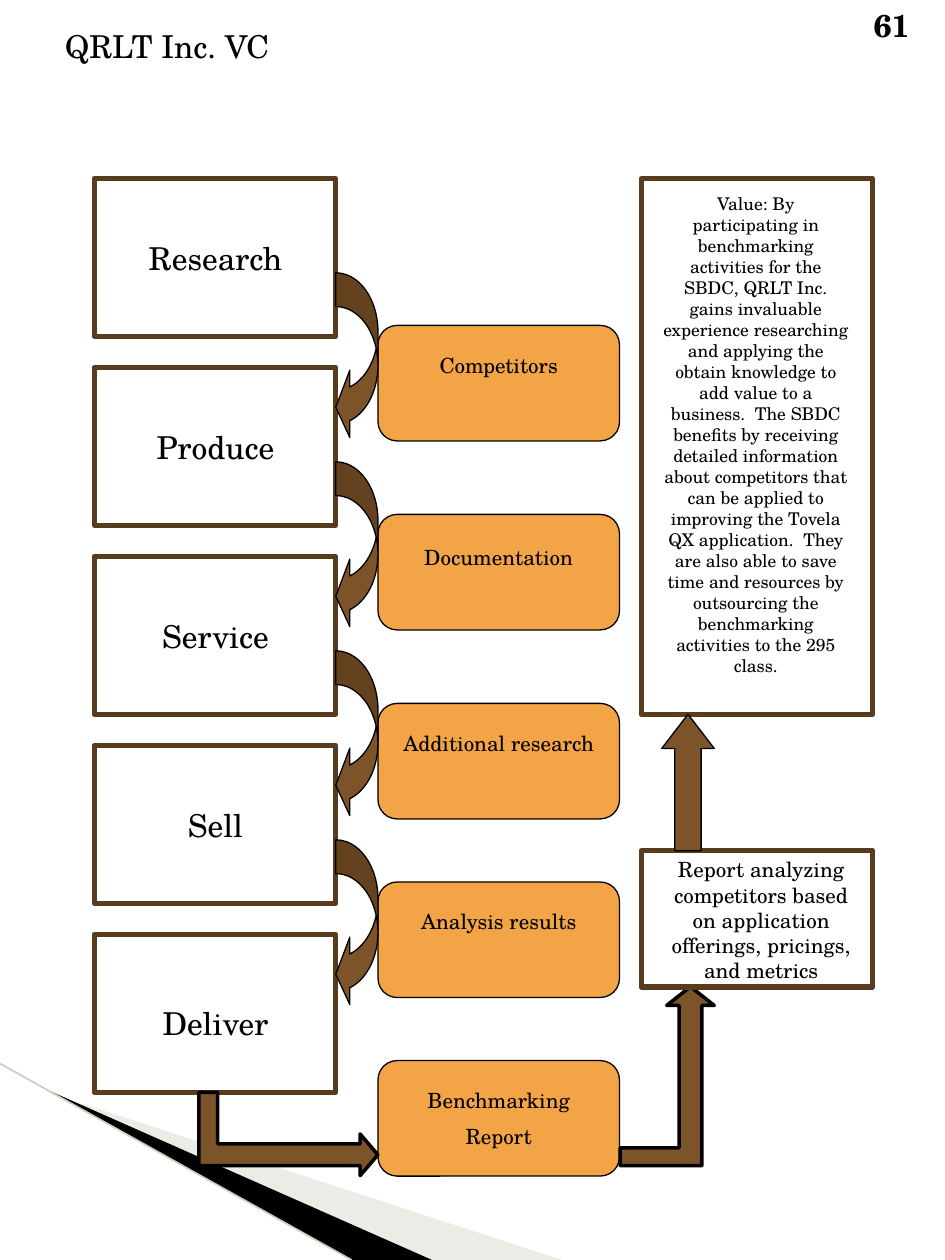
import pptx
import pptx.util
import pptx.dml.color
import pptx.enum.shapes
import pptx.enum.text
import lxml.etree

Cm = pptx.util.Cm
Pt = pptx.util.Pt
KIND = pptx.enum.shapes.MSO_SHAPE
FONT = "TeX Gyre Schola"
BLACK, FRAME, BROWN, ORANGE = "000000", "593B1D", "7D5329", "F3A447"

# Content: steps and tags carry the top of their text, tags also of their box
STEPS = [("Research", 4.7), ("Produce", 8.51), ("Service", 12.32),
         ("Sell", 16.13), ("Deliver", 20.11)]
TAGS = [(["Competitors"], 6.56, 6.99), (["Documentation"], 10.37, 10.86),
        (["Additional research"], 14.18, 14.6),
        (["Analysis results"], 17.78, 18.2),
        (["Benchmarking", "Report"], 21.38, 21.8)]
TITLE = "QRLT Inc. VC"
PAGE = "61"
VALUE = (
    "Value: By participating in benchmarking activities for the SBDC, "
    "QRLT Inc. gains invaluable experience researching and applying the "
    "obtain knowledge to add value to a business.  The SBDC benefits by "
    "receiving detailed information about competitors that can be applied "
    "to improving the Tovela QX application.  They are also able to save "
    "time and resources by outsourcing the benchmarking activities to the "
    "295 class.")
REPORT = ("Report analyzing competitors based on application offerings, "
          "pricings, and metrics")

# Outlines in cm
PALE = [(1.04, 22.05), (11.33, 25.4), (8.69, 25.4)]
DARK = [(1.02, 22), (8.71, 25.4), (7.09, 25.4)]
TO_TAG = [(4.39, 22.02), (4.39, 23.06), (7.26, 23.06), (7.26, 22.86),
          (7.62, 23.28), (7.26, 23.7), (7.26, 23.5), (4.01, 23.5),
          (4.01, 22.02)]
TO_REPORT = [(12.5, 23.14), (13.69, 23.14), (13.69, 20.27), (13.44, 20.27),
             (13.92, 19.89), (14.4, 20.27), (14.15, 20.27), (14.15, 23.5),
             (12.5, 23.5)]

# Grid
LEFT, TOP, PITCH, WIDE, HIGH = 1.9, 3.6, 3.81, 4.87, 3.18
MID, TAG_HIGH = 7.62, 2.33
SIDE, SIDE_WIDE = 12.93, 4.66

deck = pptx.Presentation()
deck.slide_width, deck.slide_height = Cm(19.05), Cm(25.4)
slide = deck.slides.add_slide(deck.slide_layouts[6])
shapes = slide.shapes


def tint(code):
    return pptx.dml.color.RGBColor.from_string(code)


def paint(shape, fill=None, line=None, width=0.75):
    shape.shadow.inherit = False
    if fill:
        shape.fill.solid()
        shape.fill.fore_color.rgb = tint(fill)
    else:
        shape.fill.background()
    if line:
        shape.line.color.rgb = tint(line)
        shape.line.width = Pt(width)
    else:
        shape.line.fill.background()
    return shape


def block(kind, x, y, w, h, fill=None, line=BLACK, width=0.75, adj=()):
    shape = shapes.add_shape(kind, Cm(x), Cm(y), Cm(w), Cm(h))
    for i, val in enumerate(adj):
        shape.adjustments[i] = val
    return paint(shape, fill, line, width)


def frame(x, y, w, h):
    return block(KIND.RECTANGLE, x, y, w, h, line=FRAME, width=3)


def shard(points, fill, line=None, width=0.75):
    spots = [(Cm(x), Cm(y)) for x, y in points]
    pen = shapes.build_freeform(*spots[0], scale=1.0)
    pen.add_line_segments(spots[1:], close=True)
    return paint(pen.convert_to_shape(), fill, line, width)


def write(lines, x, y, w, h, size, align="CENTER", bold=False):
    body = shapes.add_textbox(Cm(x), Cm(y), Cm(w), Cm(h)).text_frame
    body.word_wrap = True
    for i, line in enumerate(lines):
        para = body.add_paragraph() if i else body.paragraphs[0]
        para.alignment = pptx.enum.text.PP_ALIGN[align]
        if i:
            para.space_before = Pt(size / 2)
        run = para.add_run()
        run.text = line
        run.font.name, run.font.size = FONT, Pt(size)
        run.font.bold = bold
        run.font.color.rgb = tint(BLACK)


# Corner sweep
pale = shard(PALE, "CBD4C0")
ns = "http://schemas.openxmlformats.org/drawingml/2006/main"
color = pale.fill._xPr.find(f".//{{{ns}}}srgbClr")
lxml.etree.SubElement(color, f"{{{ns}}}alpha", val="40000")
shard(DARK, BLACK)
edge = shapes.add_connector(pptx.enum.shapes.MSO_CONNECTOR.STRAIGHT,
                            Cm(0), Cm(21.44), Cm(7.09), Cm(25.4))
edge.line.color.rgb = tint("C6D0BB")
edge.line.width = Pt(0.95)
lxml.etree.SubElement(edge._element.spPr, f"{{{ns}}}effectLst")

# Boxes of both columns
for i in range(len(STEPS)):
    frame(LEFT, TOP + i * PITCH, WIDE, HIGH)
for _, top, _ in TAGS:
    block(KIND.ROUNDED_RECTANGLE, MID, top, WIDE, TAG_HIGH, ORANGE,
          adj=[0.167])

# Curved arrows from each step to the next
for i in range(len(STEPS) - 1):
    block(KIND.CURVED_LEFT_ARROW, LEFT + WIDE, 5.5 + i * PITCH, 0.85, 3.39,
          BROWN, adj=[0.8, 1.6, 0.333])

# Path from the last step to the value
shard(TO_TAG, BROWN, BLACK, 2)
frame(SIDE, TOP, SIDE_WIDE, 10.8)
shard(TO_REPORT, BROWN, BLACK, 2)
frame(SIDE, 17.15, SIDE_WIDE, 2.75)
block(KIND.UP_ARROW, 13.34, 14.4, 1.06, 2.75, BROWN, adj=[0.5, 0.65])

# Text
write([TITLE], 1.06, 0.42, 15.88, 1.03, 18, "LEFT")
write([PAGE], 17.36, 0, 1.48, 1.03, 18, "LEFT", bold=True)
for name, top in STEPS:
    write([name], 2.12, top, 4.45, 1.03, 18)
for lines, _, top in TAGS:
    write(lines, MID, top, WIDE, 0.77 * len(lines), 12)
write([VALUE], 13.12, 3.76, 4.23, 9.65, 10)
write([REPORT], 13.12, 17.15, 4.45, 3.58, 12)

deck.save("out.pptx")
